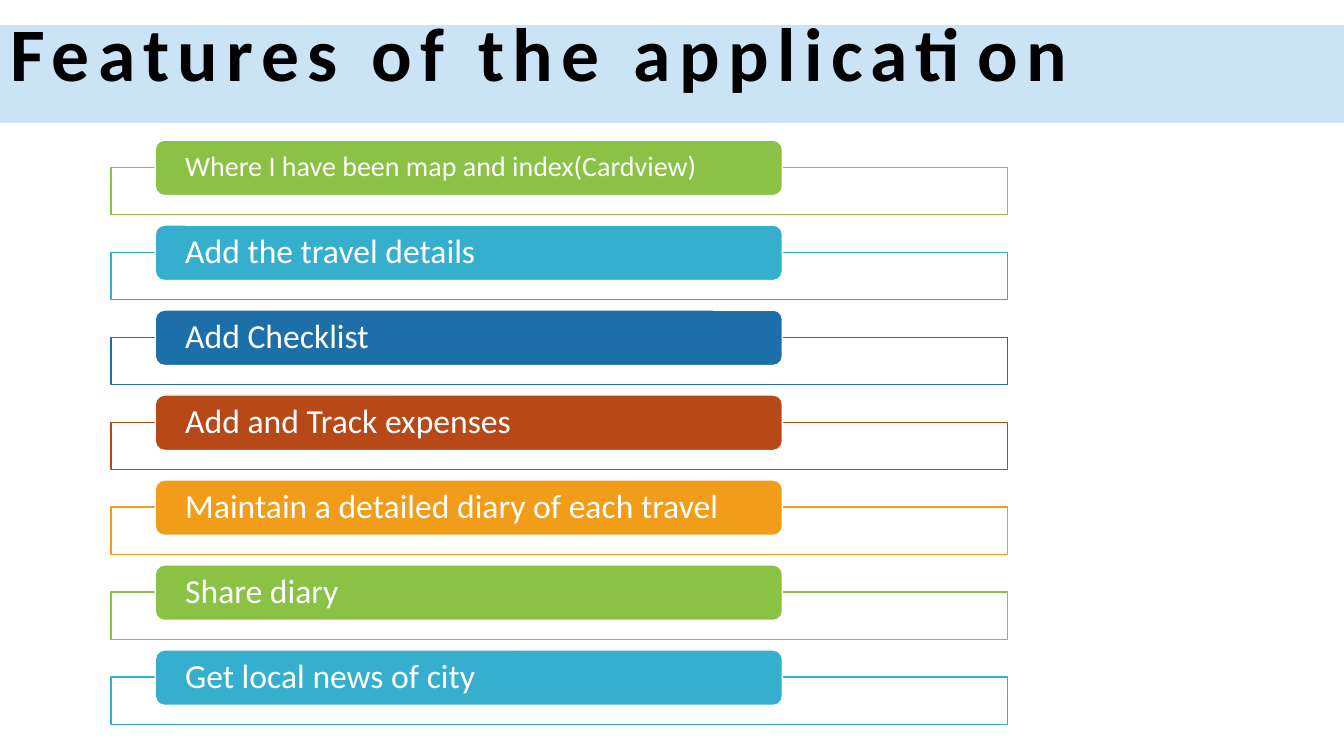
from lxml import etree
from pptx import Presentation
from pptx.dml.color import RGBColor
from pptx.enum.shapes import MSO_SHAPE
from pptx.enum.text import MSO_ANCHOR, PP_ALIGN
from pptx.oxml.ns import qn
from pptx.util import Inches, Pt

RECT = MSO_SHAPE.RECTANGLE
ROUND = MSO_SHAPE.ROUNDED_RECTANGLE
MIDDLE = MSO_ANCHOR.MIDDLE
LEFT = PP_ALIGN.LEFT

WHITE = RGBColor(0xFF, 0xFF, 0xFF)
BLACK = RGBColor(0x00, 0x00, 0x00)
PALE = RGBColor(0xCA, 0xE4, 0xF6)
GREEN = RGBColor(0x8B, 0xC1, 0x45)
CYAN = RGBColor(0x36, 0xAF, 0xCE)
BLUE = RGBColor(0x1D, 0x6F, 0xA9)
RUST = RGBColor(0xB7, 0x49, 0x19)
AMBER = RGBColor(0xF1, 0x9D, 0x19)

FEATURES = [
    ("Where I have been map and index(Cardview)", GREEN, 20),
    ("Add the travel details", CYAN, 24),
    ("Add Checklist", BLUE, 24),
    ("Add and Track expenses", RUST, 24),
    ("Maintain a detailed diary of each travel", AMBER, 24),
    ("Share diary", GREEN, 24),
    ("Get local news of city", CYAN, 24),
]
TOP = 1.39
STEP = 0.843


def add_box(kind, left, top, width, height, fill, line=None):
    box = slide.shapes.add_shape(
        kind, Inches(left), Inches(top), Inches(width), Inches(height)
    )
    box.shadow.inherit = False
    box.fill.solid()
    box.fill.fore_color.rgb = fill
    if line is None:
        box.line.fill.background()
    else:
        box.line.color.rgb = line
        box.line.width = Pt(1)
    return box


def set_text(shape, text, size, color, bold, inset):
    frame = shape.text_frame
    frame.text = text
    layout = {
        "word_wrap": True,
        "vertical_anchor": MIDDLE,
        "margin_left": Inches(inset),
        "margin_right": Inches(inset),
        "margin_top": 0,
        "margin_bottom": 0,
    }
    for name, value in layout.items():
        setattr(frame, name, value)
    para = frame.paragraphs[0]
    para.alignment = LEFT
    para.line_spacing = 0.9
    run = para.runs[0]
    style = {"name": "Calibri", "size": Pt(size), "bold": bold}
    for name, value in style.items():
        setattr(run.font, name, value)
    run.font.color.rgb = color
    return run


prs = Presentation()
prs.slide_width = Inches(13.33)
prs.slide_height = Inches(7.5)
slide = prs.slides.add_slide(prs.slide_layouts[5])

title = slide.shapes.title
place = {"left": 0, "top": 0.11, "width": 13.33, "height": 0.92}
for name, value in place.items():
    setattr(title, name, Inches(value))
run = set_text(title, "Features of the application", 54, BLACK, True, 0.1)
run.font.element.set("spc", "600") if hasattr(run.font, "element") else run._r.get_or_add_rPr().set("spc", "600")

band = add_box(RECT, 0, 0.25, 13.33, 0.97, PALE)
title.element.addprevious(band.element)

for row, (text, color, size) in enumerate(FEATURES):
    top = TOP + row * STEP
    frame = add_box(RECT, 1.1, top + 0.27, 8.89, 0.47, WHITE, color)
    tint = frame.element.spPr.find(qn("a:solidFill"))[0]
    etree.SubElement(tint, qn("a:alpha"), val="90000")
    pill = add_box(ROUND, 1.54, top, 6.22, 0.55, color, WHITE)
    set_text(pill, text, size, WHITE, False, 0.27)

prs.save("out.pptx")
